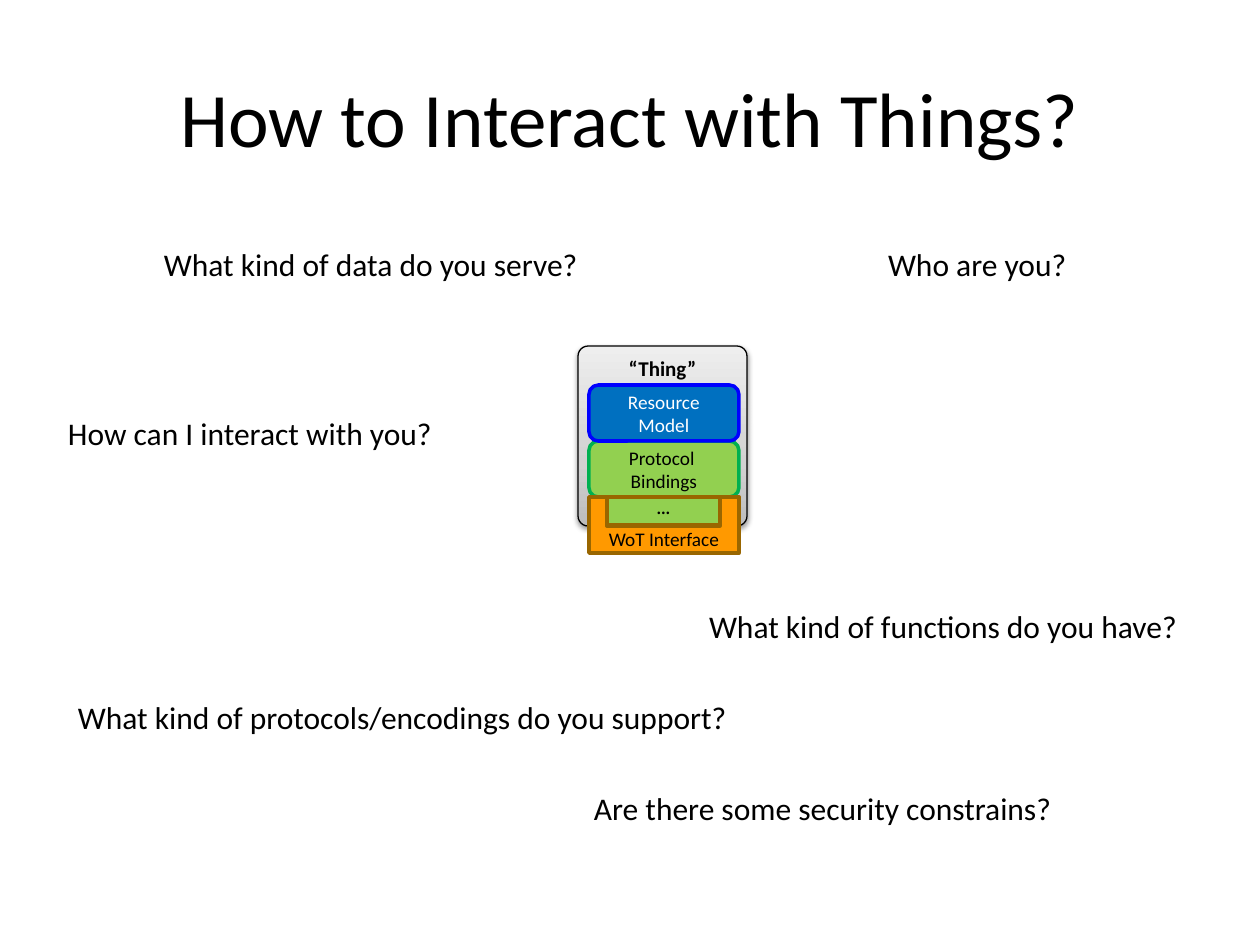
from lxml.etree import SubElement
from pptx import Presentation
from pptx.dml.color import RGBColor
from pptx.enum.shapes import MSO_SHAPE
from pptx.enum.text import MSO_ANCHOR, MSO_AUTO_SIZE, PP_ALIGN
from pptx.oxml import parse_xml
from pptx.oxml.ns import nsdecls, qn
from pptx.util import Emu, Pt

COLORS = {
    "black": "000000", "white": "FFFFFF",
    "green": "92D050", "green_edge": "00B050",
    "blue": "0070C0", "blue_edge": "0000FF",
    "orange": "FF9900", "brown": "996600",
}
THING_STOPS = [(0, "BDBDBD"), (35, "D1D1D1"), (100, "EEEEEE")]


def px(length):
    return Emu(round(length * 914400 / 126))


def rgb(name):
    return RGBColor.from_string(COLORS[name])


class Board:
    font = "Calibri"

    def __init__(self, slide):
        self.slide = slide
        self.shapes = slide.shapes

    def start_group(self):
        self.shapes = self.slide.shapes.add_group_shape().shapes

    def end_group(self):
        self.shapes = self.slide.shapes

    def add_words(self, shape, lines, size, color="black", bold=False,
                  align=PP_ALIGN.CENTER, anchor=MSO_ANCHOR.MIDDLE, wrap=True):
        frame = shape.text_frame
        frame.word_wrap = wrap
        frame.vertical_anchor = anchor
        paragraph = frame.paragraphs[0]
        paragraph.alignment = align
        for index, line in enumerate(lines):
            if index:
                paragraph.add_line_break()
            run = paragraph.add_run()
            run.text = line
            run.font.name = self.font
            run.font.size = Pt(size)
            run.font.bold = bold
            run.font.color.rgb = rgb(color)
        return frame

    def paint(self, shape, fill, edge, weight):
        shape.shadow.inherit = False
        shape.fill.solid()
        shape.fill.fore_color.rgb = rgb(fill)
        shape.line.color.rgb = rgb(edge)
        shape.line.width = Pt(weight)

    def block(self, kind, box, fill, edge, weight=2):
        shape = self.shapes.add_shape(kind, *map(px, box))
        self.paint(shape, fill, edge, weight)
        return shape

    def outline(self, points, fill, edge, weight=2):
        start, *rest = [(px(x), px(y)) for x, y in points]
        builder = self.shapes.build_freeform(*start)
        builder.add_line_segments(rest, close=True)
        shape = builder.convert_to_shape()
        self.paint(shape, fill, edge, weight)
        return shape

    def shade(self, shape, stops, angle):
        shape.fill.gradient()
        shape.fill.gradient_angle = angle
        properties = shape.element.spPr
        stop_list = properties.find(".//" + qn("a:gsLst"))
        for stop in list(stop_list):
            stop_list.remove(stop)
        for position, color in stops:
            stop = SubElement(stop_list, qn("a:gs"), pos=str(position * 1000))
            SubElement(stop, qn("a:srgbClr"), val=color)

    def drop_shadow(self, shape):
        shape.element.spPr.find(qn("a:effectLst")).append(parse_xml(
            f'<a:outerShdw {nsdecls("a")} blurRad="40000" dist="20000" '
            'dir="5400000" rotWithShape="0"><a:srgbClr val="000000">'
            '<a:alpha val="38000"/></a:srgbClr></a:outerShdw>'))

    def title(self, text, box):
        heading = self.shapes.add_textbox(*map(px, box))
        self.add_words(heading, [text], 44)

    def question(self, text, left, top, width):
        label = self.shapes.add_textbox(px(left), px(top), px(width), px(38))
        frame = self.add_words(label, [text], 18, align=PP_ALIGN.LEFT,
                               anchor=MSO_ANCHOR.TOP, wrap=False)
        frame.margin_left = frame.margin_right = 0
        frame.margin_top = frame.margin_bottom = 0
        frame.auto_size = MSO_AUTO_SIZE.SHAPE_TO_FIT_TEXT
        indent = px(24)
        properties = frame.paragraphs[0]._p.get_or_add_pPr()
        properties.set("marL", str(indent))
        properties.set("indent", str(-indent))


def draw_thing(board):
    left, right, layer = 589, 739, 56
    model_top, bindings_top, interface_top = (385 + layer * i for i in range(3))
    bottom = interface_top + layer
    notch_left, notch_right, notch_bottom = left + 18, right - 19, interface_top + 29
    width = right - left

    board.start_group()
    thing = board.block(MSO_SHAPE.ROUNDED_RECTANGLE, (578, 346, 169, 180),
                        "white", "black", 0.75)
    thing.adjustments[0] = 0.06
    board.shade(thing, THING_STOPS, 90)
    board.drop_shadow(thing)
    board.add_words(thing, ["“Thing”"], 12, bold=True,
                    anchor=MSO_ANCHOR.TOP, wrap=False)

    for lines, top, fill, edge, color in [
        (["Protocol ", "Bindings"], bindings_top, "green", "green_edge", "black"),
        (["Resource", "Model"], model_top, "blue", "blue_edge", "white"),
    ]:
        part = board.block(MSO_SHAPE.ROUNDED_RECTANGLE,
                           (left, top, width, layer), fill, edge)
        board.add_words(part, lines, 11, color)

    interface = board.outline([
        (left, interface_top), (notch_left, interface_top),
        (notch_left, notch_bottom), (notch_right, notch_bottom),
        (notch_right, interface_top), (right, interface_top),
        (right, bottom), (left, bottom),
    ], "orange", "brown")
    frame = board.add_words(interface, ["WoT Interface"], 11,
                            anchor=MSO_ANCHOR.BOTTOM)
    frame.margin_top, frame.margin_bottom = 0, px(3)

    more = board.block(
        MSO_SHAPE.RECTANGLE,
        (notch_left, interface_top, notch_right - notch_left, 28),
        "green", "brown", 2.25)
    board.add_words(more, ["···"], 10.5)
    board.end_group()


def main():
    deck = Presentation()
    deck.slide_width, deck.slide_height = px(1260), px(945)
    board = Board(deck.slides.add_slide(deck.slide_layouts[6]))
    draw_thing(board)
    board.title("How to Interact with Things?", (0, 38, 1260, 157))
    for text, left, top, width in [
        ("Who are you?", 888, 245, 180),
        ("What kind of functions do you have?", 709, 607, 474),
        ("What kind of data do you serve?", 164, 245, 418),
        ("How can I interact with you?", 68, 414, 368),
        ("What kind of protocols/encodings do you support?", 78, 698, 656),
        ("Are there some security constrains?", 594, 789, 462),
    ]:
        board.question(text, left, top, width)
    deck.save("out.pptx")


if __name__ == "__main__":
    main()
